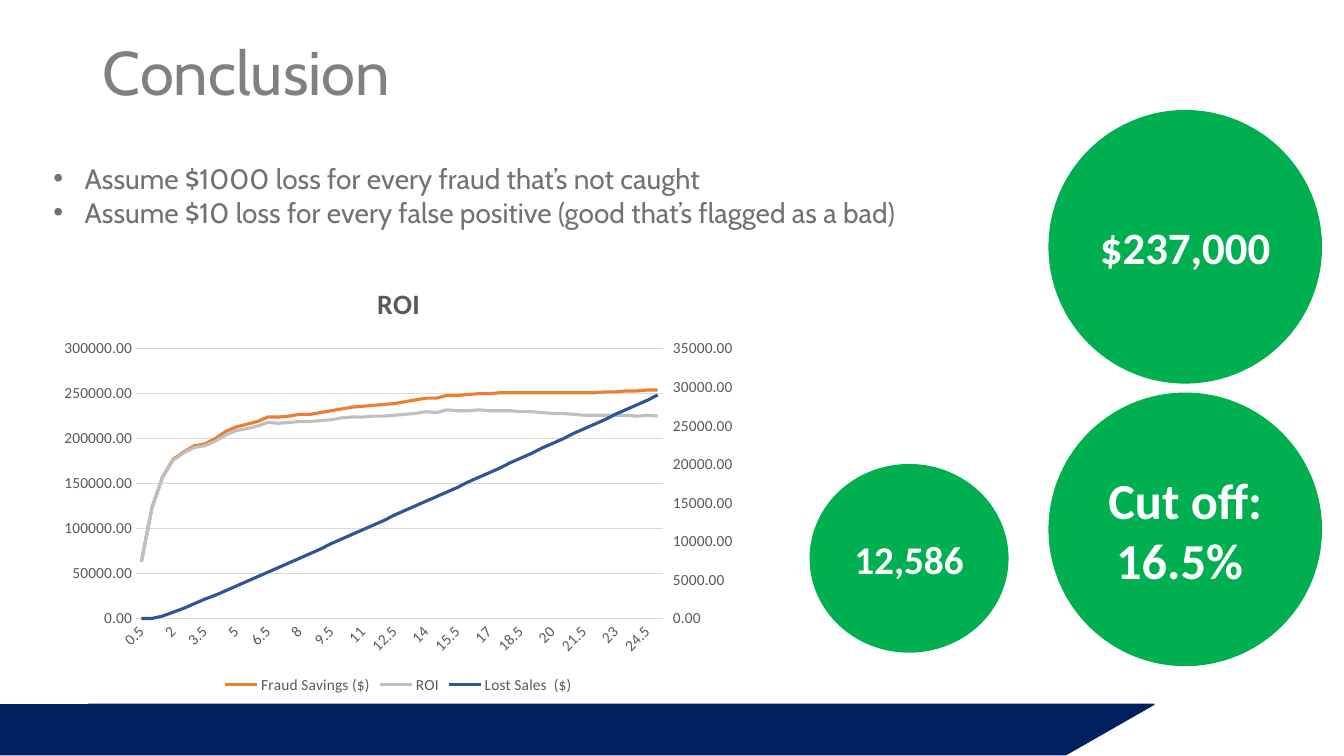
from copy import deepcopy

from lxml import etree
from pptx import Presentation
from pptx.chart.axis import ValueAxis
from pptx.chart.data import CategoryChartData
from pptx.dml.color import RGBColor
from pptx.enum.chart import XL_CHART_TYPE as CHART, XL_LEGEND_POSITION as LEGEND
from pptx.enum.chart import XL_TICK_MARK as TICK
from pptx.enum.shapes import MSO_SHAPE as SHAPE
from pptx.enum.text import MSO_ANCHOR as ANCHOR, MSO_AUTO_SIZE as AUTO, PP_ALIGN as ALIGN
from pptx.oxml.ns import qn
from pptx.util import Cm, Pt

COLORS = {
    "navy": "002060", "green": "00B050", "white": "FFFFFF",
    "title": "808080", "body": "767171", "axis": "595959", "grid": "D9D9D9",
    "savings": "ED7D31", "roi": "BFBFBF", "lost": "2F5597",
}

# Savings and ROI in thousands of dollars, lost sales in hundreds
SAVINGS = [63, 123, 157, 177, 185, 192, 194, 200, 208, 213, 216, 219, 224, 224, 225, 227, 227,
           229, 231, 233, 235, 236, 237, 238, 239, 241, 243, 245, 245, 248, 248, 249, 250, 250,
           251, 251, 251, 251, 251, 251, 251, 251, 251, 251, 252, 252, 253, 253, 254, 254]
ROI = [63, 123, 157, 176, 184, 190, 192, 197, 204, 209, 211, 214, 218, 217, 218, 219, 219,
       220, 221, 223, 224, 224, 225, 225, 226, 227, 228, 230, 229, 232, 231, 231, 232, 231,
       231, 231, 230, 230, 229, 228, 228, 227, 226, 226, 226, 226, 226, 225, 226, 225]
LOST = [0, 0, 3, 8, 13, 19, 25, 30, 36, 42, 48, 54, 60, 66, 72, 78, 84,
        90, 97, 103, 109, 115, 121, 127, 134, 140, 146, 152, 158, 164, 170, 177, 183, 189,
        195, 202, 208, 214, 221, 227, 233, 240, 246, 252, 258, 265, 271, 277, 283, 290]
SERIES = [
    ("Fraud Savings ($)", [v * 1000 for v in SAVINGS], "savings"),
    ("ROI", [v * 1000 for v in ROI], "roi"),
    ("Lost Sales  ($)", [v * 100 for v in LOST], "lost"),
]


def rgb(name):
    return RGBColor.from_string(COLORS[name])


class SlideBuilder:
    head_font = "Cabin"
    text_font = "Calibri"

    def __init__(self, slide):
        self.slide = slide

    def style(self, font, name, size, color, bold=False):
        font.name, font.size, font.bold = name, Pt(size), bold
        font.color.rgb = rgb(color)

    def place(self, sp, box):
        sp.left, sp.top, sp.width, sp.height = (Cm(v) for v in box)

    def shape(self, kind, box, color):
        sp = self.slide.shapes.add_shape(kind, *(Cm(v) for v in box))
        sp.shadow.inherit = False
        sp.fill.solid()
        sp.fill.fore_color.rgb = rgb(color)
        sp.line.color.rgb = rgb(color)
        sp.line.width = Pt(1)
        return sp

    def circle(self, text, box, size):
        tf = self.shape(SHAPE.OVAL, box, "green").text_frame
        tf.text = text
        tf.word_wrap = True
        tf.vertical_anchor = ANCHOR.MIDDLE
        p = tf.paragraphs[0]
        p.alignment = ALIGN.CENTER
        self.style(p.runs[0].font, self.text_font, size, "white", True)

    def title(self, text, box):
        sp = self.slide.shapes.title
        self.place(sp, box)
        tf = sp.text_frame
        tf.text = text
        tf.auto_size = AUTO.NONE
        tf.vertical_anchor = ANCHOR.MIDDLE
        p = tf.paragraphs[0]
        p.alignment = ALIGN.LEFT
        p.line_spacing = 0.9
        self.style(p.runs[0].font, self.head_font, 44, "title")

    def bullets(self, lines, box):
        sp = self.slide.placeholders[1]
        self.place(sp, box)
        tf = sp.text_frame
        tf.text = "\n".join(lines)
        tf.auto_size = AUTO.NONE
        for p in tf.paragraphs:
            pPr = p._p.get_or_add_pPr()
            pPr.set("marL", str(Cm(0.79)))
            pPr.set("indent", str(-Cm(0.79)))
            etree.SubElement(pPr, qn("a:buFont"), typeface="Arial")
            etree.SubElement(pPr, qn("a:buChar"), char="•")
            p.space_before = Pt(0)
            self.style(p.runs[0].font, self.head_font, 20, "body")

    def value_axis(self, axis, top, step):
        axis.minimum_scale, axis.maximum_scale, axis.major_unit = 0, top, step
        axis.major_tick_mark = axis.minor_tick_mark = TICK.NONE
        axis.format.line.fill.background()
        labels = axis.tick_labels
        labels.number_format, labels.number_format_is_linked = "0.00", False
        self.style(labels.font, self.text_font, 11, "axis")

    def category_axis(self, axis):
        axis.major_tick_mark = axis.minor_tick_mark = TICK.NONE
        axis.format.line.color.rgb = rgb("grid")
        axis.format.line.width = Pt(0.75)
        self.style(axis.tick_labels.font, self.text_font, 11, "axis")
        el = axis._element
        el.find(qn("c:txPr")).find(qn("a:bodyPr")).set("rot", "-2700000")
        skip = etree.Element(qn("c:tickLblSkip"), val="3")
        el.find(qn("c:noMultiLvlLbl")).addprevious(skip)

    def move_to_right_axis(self, chart, top, step):
        """Give the last series its own line group and value axis."""
        plot = chart.plots[0]._element
        right = deepcopy(plot)
        plot.remove(plot.findall(qn("c:ser"))[-1])
        for ser in right.findall(qn("c:ser"))[:-1]:
            right.remove(ser)
        plot.addnext(right)

        cat, val = chart.category_axis._element, chart.value_axis._element
        cat2, val2 = deepcopy(cat), deepcopy(val)
        val.addnext(val2)
        val2.addnext(cat2)
        for el, own, cross in ((cat2, "5001", "5002"), (val2, "5002", "5001")):
            el.find(qn("c:axId")).set("val", own)
            el.find(qn("c:crossAx")).set("val", cross)
        for el, own in zip(right.findall(qn("c:axId")), ("5001", "5002")):
            el.set("val", own)
        cat2.find(qn("c:delete")).set("val", "1")
        val2.find(qn("c:axPos")).set("val", "r")
        val2.find(qn("c:crosses")).set("val", "max")
        axis = ValueAxis(val2)
        axis.has_major_gridlines = False
        self.value_axis(axis, top, step)
        axis.major_tick_mark = TICK.OUTSIDE

    def roi_chart(self, box):
        data = CategoryChartData(number_format="0.00")
        data.categories = [f"{(i + 1) / 2:g}" for i in range(len(ROI))]
        for name, values, _ in SERIES:
            data.add_series(name, values)
        frame = self.slide.shapes.add_chart(CHART.LINE, *(Cm(v) for v in box), data)
        chart = frame.chart
        self.style(chart.font, self.text_font, 10, "axis")

        # Title and legend
        chart.has_title = True
        tf = chart.chart_title.text_frame
        tf.text = "ROI"
        self.style(tf.paragraphs[0].runs[0].font, self.text_font, 20, "axis", True)
        chart.has_legend = True
        chart.legend.position = LEGEND.BOTTOM
        chart.legend.include_in_layout = False
        self.style(chart.legend.font, self.text_font, 11, "axis")

        # Lines and axes
        for ser, (_, _, color) in zip(chart.plots[0].series, SERIES):
            ser.smooth = False
            ser.format.line.color.rgb = rgb(color)
            ser.format.line.width = Pt(2.25)
        chart.plots[0].vary_by_categories = False
        self.category_axis(chart.category_axis)
        self.value_axis(chart.value_axis, 300000, 50000)
        grid = chart.value_axis.major_gridlines.format.line
        grid.color.rgb = rgb("grid")
        grid.width = Pt(0.75)
        self.move_to_right_axis(chart, 35000, 5000)


def main():
    prs = Presentation()
    prs.slide_width, prs.slide_height = Cm(33.87), Cm(19.05)
    s = SlideBuilder(prs.slides.add_slide(prs.slide_layouts[1]))

    # Footer band
    band = s.shape(SHAPE.PARALLELOGRAM, (0, 17.75, 29.08, 1.27), "navy")
    band.adjustments[0] = 1.75
    s.shape(SHAPE.RECTANGLE, (0, 17.75, 2.82, 1.27), "navy")

    # Title and assumptions
    s.title("Conclusion", (2.34, 0.61, 29.21, 2.59))
    s.bullets(["Assume $1000 loss for every fraud that’s not caught",
               "Assume $10 loss for every false positive (good that’s flagged as a bad)"],
              (1.09, 3.94, 23.32, 2.82))

    # Chart and key figures
    s.roi_chart((1.27, 6.68, 17.55, 10.92))
    s.circle("$237,000", (26.44, 2.79, 6.86, 6.86), 32)
    s.circle("Cut off: 16.5% ", (26.44, 9.91, 6.86, 6.86), 36)
    s.circle("12,586", (20.42, 11.71, 4.98, 4.72), 28)

    prs.save("out.pptx")


if __name__ == "__main__":
    main()
